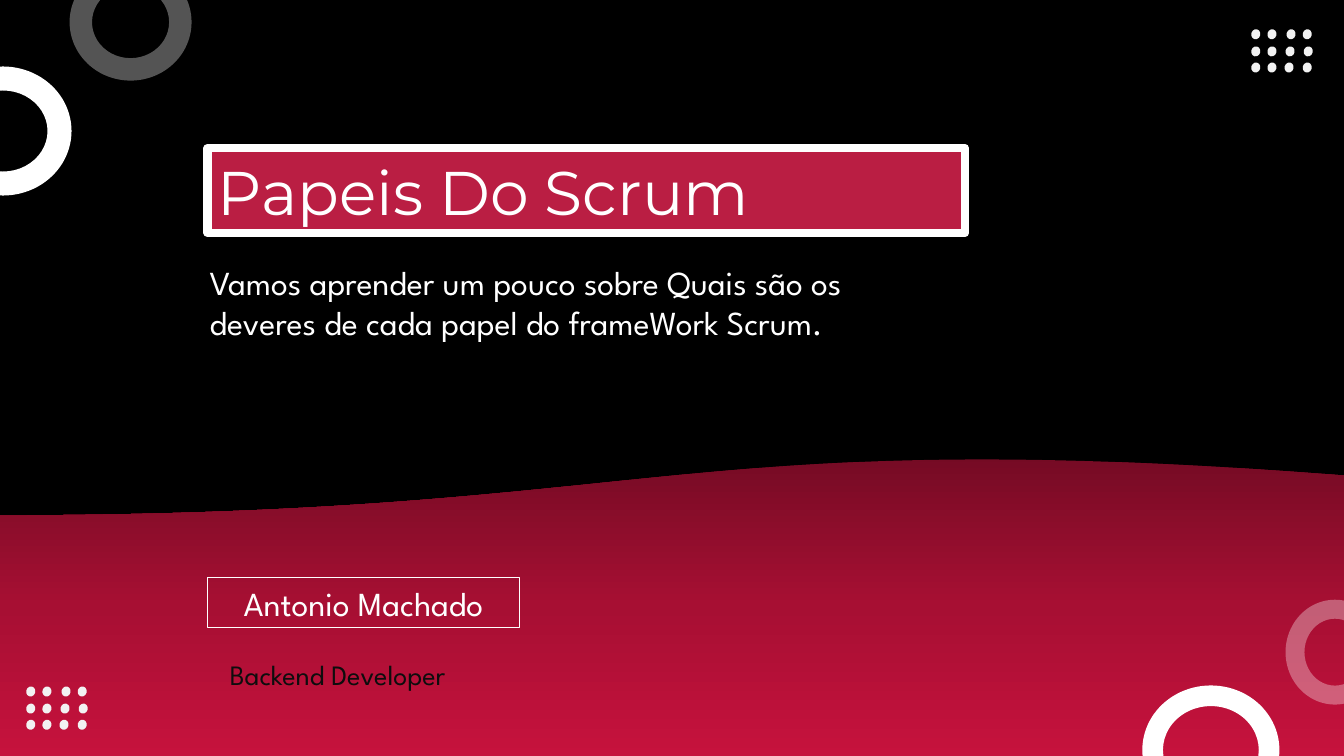
from dataclasses import dataclass

from lxml.etree import SubElement
from pptx import Presentation
from pptx.dml.color import RGBColor
from pptx.enum.shapes import MSO_SHAPE
from pptx.enum.text import MSO_ANCHOR, MSO_AUTO_SIZE, PP_ALIGN
from pptx.oxml.ns import qn
from pptx.util import Inches, Pt


@dataclass(frozen=True)
class Theme:
    black: str = "000000"
    white: str = "FFFFFF"
    crimson: str = "BA1E43"
    ink: str = "0D0D0D"
    dot: str = "F2F2F2"
    wave: tuple = ((0, "750B24"), (50, "A70F33"), (100, "C6123D"))
    heading_font: str = "Montserrat"
    body_font: str = "League Spartan"
    title_size: int = 44
    body_size: int = 24
    role_size: int = 20


THEME = Theme()

# Content
TITLE = "Papeis Do Scrum"
SUBTITLE = "Vamos aprender um pouco sobre Quais são os deveres de cada papel do frameWork Scrum."
AUTHOR = "Antonio Machado"
ROLE = "Backend Developer "

# Decoration: ring box, thickness and opacity in percent
RINGS = [
    ((-0.65, 0.66, 1.36, 1.28), 0.186, 100),
    ((11.33, 6.8, 1.36, 1.28), 0.16, 100),
    ((12.75, 5.95, 0.98, 1.04), 0.192, 33),
    ((0.69, -0.36, 1.21, 1.16), 0.192, 33),
]
DOT_ORIGINS = [(12.41, 0.29), (0.26, 6.81)]
DOT_ROWS = [  # row offset, column offsets
    (0, (0, 0.16, 0.35, 0.51)),
    (0.17, (0, 0.16, 0.34, 0.52)),
    (0.33, (0, 0.16, 0.33, 0.51)),
]


def color(value):
    return RGBColor.from_string(value)


def place(shape, box):
    shape.left, shape.top, shape.width, shape.height = map(Inches, box)


def fill_solid(shape, value, opacity=100):
    shape.fill.solid()
    shape.fill.fore_color.rgb = color(value)
    if opacity < 100:
        tone = shape.fill._xPr.find(qn("a:solidFill"))[0]
        SubElement(tone, qn("a:alpha"), val=str(opacity * 1000))


def outline(shape, width):
    shape.line.color.rgb = color(THEME.white)
    shape.line.width = Pt(width)


def add_shape(kind, box, fill=None, opacity=100):
    shape = slide.shapes.add_shape(kind, *map(Inches, box))
    shape.shadow.inherit = False
    shape.line.fill.background()
    if fill:
        fill_solid(shape, fill, opacity)
    else:
        shape.fill.background()
    return shape


def write(shape, text, size, font, value, align=PP_ALIGN.LEFT, anchor=MSO_ANCHOR.TOP):
    frame = shape.text_frame
    frame.word_wrap = True
    frame.auto_size = MSO_AUTO_SIZE.SHAPE_TO_FIT_TEXT
    frame.vertical_anchor = anchor
    paragraph = frame.paragraphs[0]
    paragraph.alignment = align
    run = paragraph.add_run()
    run.text = text
    run.font.size = Pt(size)
    run.font.name = font
    run.font.color.rgb = color(value)


def add_text(box, *style):
    write(slide.shapes.add_textbox(*map(Inches, box)), *style)


presentation = Presentation()
presentation.slide_width = Inches(13.33)
presentation.slide_height = Inches(7.5)
slide = presentation.slides.add_slide(presentation.slide_layouts[5])
slide.background.fill.solid()
slide.background.fill.fore_color.rgb = color(THEME.black)

# Wave with a three-stop gradient
wave = add_shape(MSO_SHAPE.FLOWCHART_DOCUMENT, (-0.03, 4.52, 13.37, 2.99))
wave.rotation = 180
wave.fill.gradient()
wave.fill.gradient_angle = 90
stops = wave.fill._xPr.find(qn("a:gradFill")).find(qn("a:gsLst"))
for stop in list(stops):
    stops.remove(stop)
for position, value in THEME.wave:
    stop = SubElement(stops, qn("a:gs"), pos=str(position * 1000))
    SubElement(stop, qn("a:srgbClr"), val=value)

# Title and subtitle
title = slide.shapes.title
place(title, (2.06, 1.47, 7.51, 0.84))
fill_solid(title, THEME.crimson)
outline(title, 6)
write(title, TITLE, THEME.title_size, THEME.heading_font, THEME.white, PP_ALIGN.LEFT, MSO_ANCHOR.MIDDLE)
add_text((1.98, 2.55, 7.51, 1.31), SUBTITLE, THEME.body_size, THEME.body_font, THEME.white)

# Author and role
author = add_shape(MSO_SHAPE.RECTANGLE, (2.06, 5.73, 3.09, 0.5))
outline(author, 0.75)
write(author, AUTHOR, THEME.body_size, THEME.body_font, THEME.white, PP_ALIGN.CENTER)
add_text((1.62, 6.47, 3.53, 0.44), ROLE, THEME.role_size, THEME.body_font, THEME.ink, PP_ALIGN.CENTER)

# Dot grids
for left, top in DOT_ORIGINS:
    for row, columns in DOT_ROWS:
        for column in columns:
            dot = add_shape(MSO_SHAPE.OVAL, (left + column, top + row, 0.09, 0.1), THEME.dot)
            dot.rotation = 14.6

# Rings
for box, thickness, opacity in RINGS:
    ring = add_shape(MSO_SHAPE.DONUT, box, THEME.white, opacity)
    ring.adjustments[0] = thickness

presentation.save("out.pptx")
